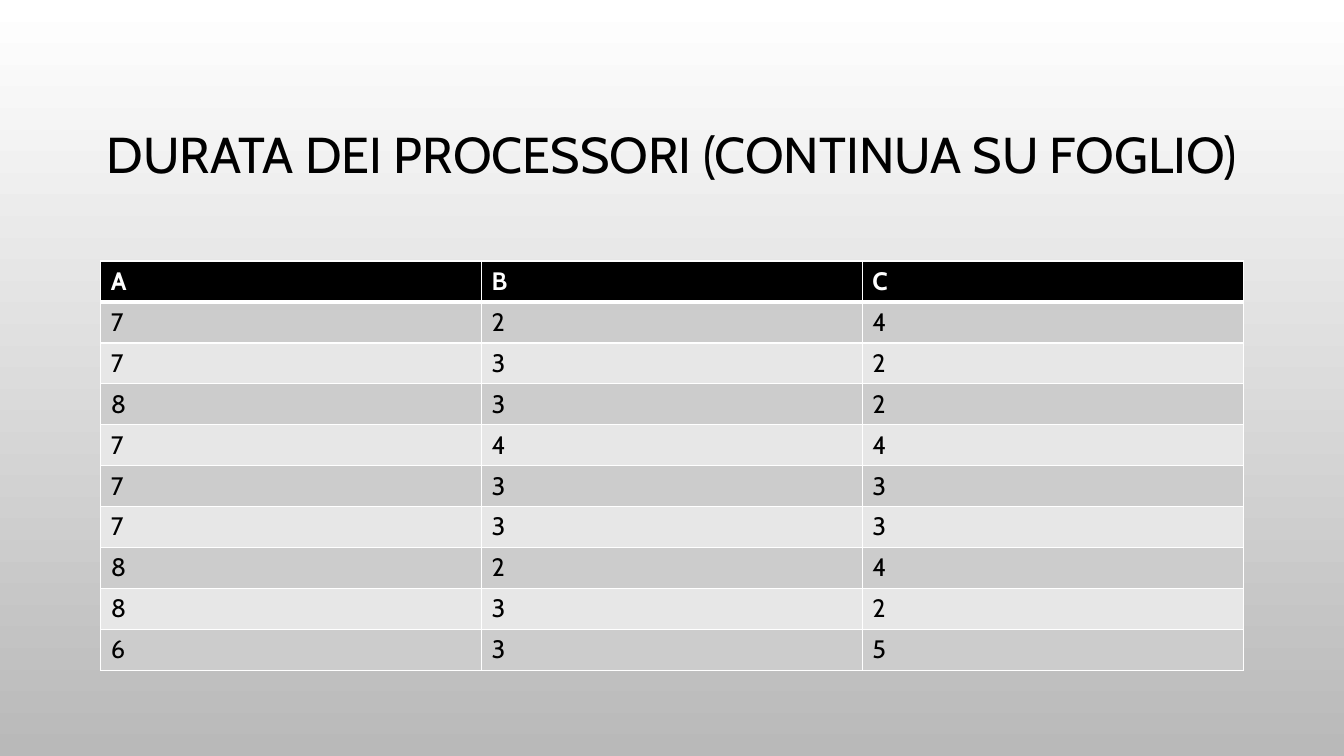
from lxml.etree import SubElement
from pptx import Presentation
from pptx.dml.color import RGBColor
from pptx.enum.text import MSO_ANCHOR, PP_ALIGN
from pptx.oxml.ns import qn
from pptx.util import Inches, Pt

BLACK = RGBColor(0x00, 0x00, 0x00)
WHITE = RGBColor(0xFF, 0xFF, 0xFF)
SILVER = RGBColor(0xB9, 0xB9, 0xB9)
DARK_BAND = RGBColor(0xCC, 0xCC, 0xCC)
LIGHT_BAND = RGBColor(0xE7, 0xE7, 0xE7)

HEADING = "DURATA DEI PROCESSORI (CONTINUA SU FOGLIO)"
PROCESSORS = ("A", "B", "C")
DURATIONS = (
    (7, 2, 4),
    (7, 3, 2),
    (8, 3, 2),
    (7, 4, 4),
    (7, 3, 3),
    (7, 3, 3),
    (8, 2, 4),
    (8, 3, 2),
    (6, 3, 5),
)


class DurationSlide:
    heading_format = {"name": "Cabin", "size": Pt(36), "bold": False}
    cell_format = {"name": "Cabin", "size": Pt(18)}
    left = Inches(1)
    width = Inches(11.33)

    def __init__(self, presentation):
        self.slide = presentation.slides.add_slide(presentation.slide_layouts[6])

    def background(self, top_color, bottom_color):
        fill = self.slide.background.fill
        fill.gradient()
        fill.gradient_angle = 270
        for stop, color in zip(fill.gradient_stops, (top_color, bottom_color)):
            stop.color.rgb = color

    def style(self, paragraph, text, color, formats):
        paragraph.text = text
        font = paragraph.runs[0].font
        for attribute, value in formats.items():
            setattr(font, attribute, value)
        font.color.rgb = color

    def heading(self, text):
        box = self.slide.shapes.add_textbox(
            self.left, Inches(0.68), self.width, Inches(1.75)
        )
        frame = box.text_frame
        frame_format = {
            "word_wrap": True,
            "vertical_anchor": MSO_ANCHOR.MIDDLE,
            "margin_left": 0,
            "margin_right": 0,
        }
        for attribute, value in frame_format.items():
            setattr(frame, attribute, value)
        paragraph = frame.paragraphs[0]
        paragraph.alignment = PP_ALIGN.CENTER
        paragraph.line_spacing = 0.9
        self.style(paragraph, text, BLACK, self.heading_format)

    def borders(self, cell, top, bottom):
        properties = cell._tc.get_or_add_tcPr()
        for side, points in (("L", 1), ("R", 1), ("T", top), ("B", bottom)):
            line = SubElement(properties, qn(f"a:ln{side}"), w=str(Pt(points)))
            solid = SubElement(line, qn("a:solidFill"))
            SubElement(solid, qn("a:srgbClr"), val=str(WHITE))

    def table(self, header, records):
        rows = (header, *records)
        table = self.slide.shapes.add_table(
            len(rows), len(header), self.left, Inches(2.59), self.width, Inches(4.06)
        ).table
        for row_index, values in enumerate(rows):
            is_header = row_index == 0
            band = DARK_BAND if row_index % 2 else LIGHT_BAND
            for column_index, value in enumerate(values):
                cell = table.cell(row_index, column_index)
                self.borders(
                    cell, 3 if row_index == 1 else 1, 3 if is_header else 1
                )
                cell.fill.solid()
                cell.fill.fore_color.rgb = BLACK if is_header else band
                self.style(
                    cell.text_frame.paragraphs[0],
                    str(value),
                    WHITE if is_header else BLACK,
                    {**self.cell_format, "bold": is_header},
                )


def main():
    presentation = Presentation()
    presentation.slide_width = Inches(13.33)
    presentation.slide_height = Inches(7.5)
    durations = DurationSlide(presentation)
    durations.background(WHITE, SILVER)
    durations.heading(HEADING)
    durations.table(PROCESSORS, DURATIONS)
    presentation.save("out.pptx")


if __name__ == "__main__":
    main()
